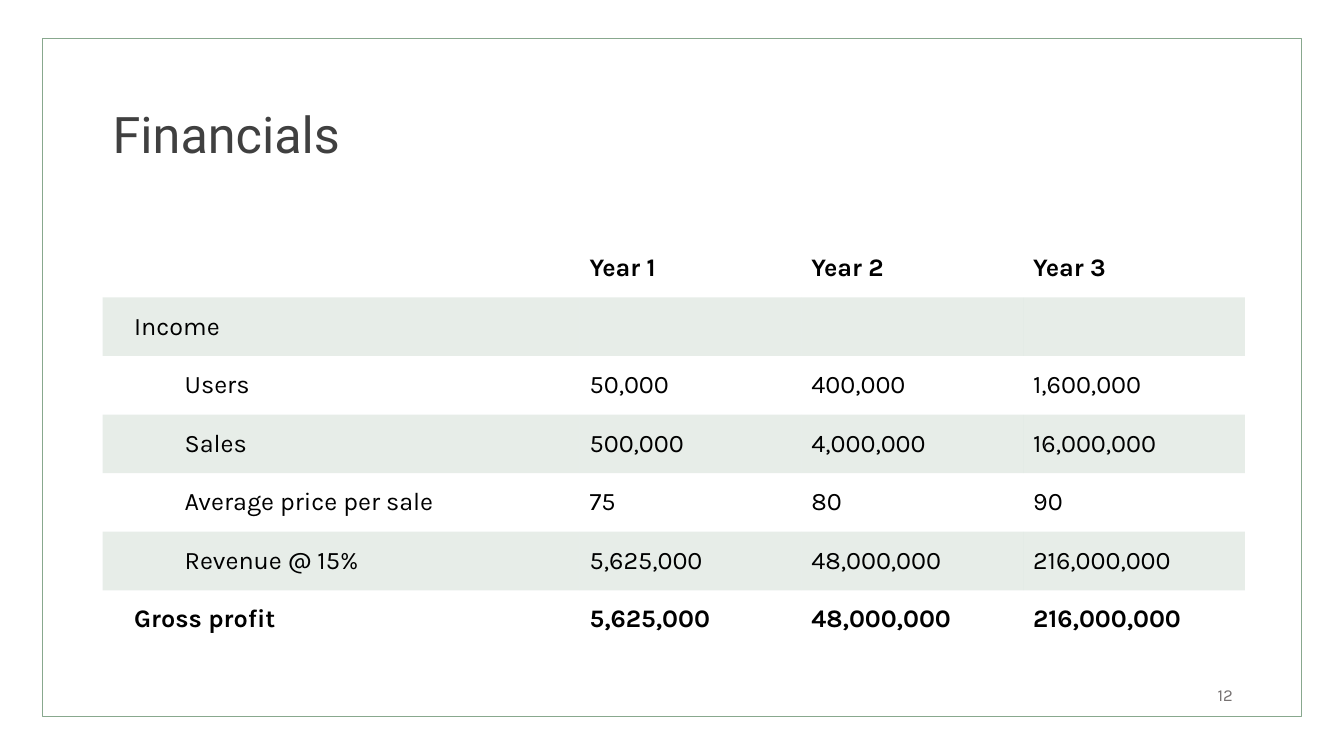
from lxml import etree
from pptx import Presentation
from pptx.dml.color import RGBColor
from pptx.enum.shapes import MSO_SHAPE as Shape
from pptx.enum.text import MSO_ANCHOR as Anchor, PP_ALIGN as Align
from pptx.oxml.ns import qn
from pptx.util import Pt

# Content: label, indent level, bold, values
TITLE = "Financials"
PAGE = "12"
ROWS = [
    ("", 0, True, ("Year 1", "Year 2", "Year 3")),
    ("Income", 0, False, ("", "", "")),
    ("Users", 1, False, ("50,000", "400,000", "1,600,000")),
    ("Sales", 1, False, ("500,000", "4,000,000", "16,000,000")),
    ("Average price per sale", 1, False, ("75", "80", "90")),
    ("Revenue @ 15%", 1, False, ("5,625,000", "48,000,000", "216,000,000")),
    ("Gross profit", 0, True, ("5,625,000", "48,000,000", "216,000,000")),
]
WIDTHS = (340.6, 158.4, 158.4, 158.4)
ROW_H = 41.86
INDENT = 36
GREEN, BLACK, DARK, GRAY = "88A88E", "000000", "404040", "767171"
NO_STYLE = "{2D5ABB26-0587-4C30-8999-92F81FD0307C}"


def color(code):
    return RGBColor.from_string(code)


def style(para, face, size, code, bold=False):
    for run in para.runs:
        font = run.font
        font.name, font.size, font.bold = face, Pt(size), bold
        font.color.rgb = color(code)


def add_text(text, box, face, size, code, align=Align.LEFT):
    frame = slide.shapes.add_textbox(*map(Pt, box)).text_frame
    frame.word_wrap = True
    frame.vertical_anchor = Anchor.MIDDLE
    frame.text = text
    para = frame.paragraphs[0]
    para.alignment = align
    style(para, face, size, code)
    return para


def tint(cell):
    cell.fill.solid()
    cell.fill.fore_color.rgb = color(GREEN)
    tone = cell._tc.tcPr.find(qn("a:solidFill"))[0]
    etree.SubElement(tone, qn("a:alpha")).set("val", "20000")


deck = Presentation()
deck.slide_width, deck.slide_height = Pt(960), Pt(540)
slide = deck.slides.add_slide(deck.slide_layouts[6])

# Frame
frame = slide.shapes.add_shape(Shape.RECTANGLE, Pt(30.2), Pt(27.4), Pt(899.3), Pt(484.6))
frame.shadow.inherit = False
frame.fill.background()
frame.line.color.rgb = color(GREEN)
frame.line.width = Pt(1)

# Title
add_text(TITLE, (73.4, 38.2, 813.6, 120.2), "Roboto", 36, DARK).line_spacing = 0.9

# Table
table = slide.shapes.add_table(
    len(ROWS), len(WIDTHS), Pt(73.4), Pt(170.6),
    Pt(sum(WIDTHS)), Pt(ROW_H * len(ROWS))).table
table.first_row = table.horz_banding = False
table._tbl.tblPr.find(qn("a:tableStyleId")).text = NO_STYLE
for col, width in zip(table.columns, WIDTHS):
    col.width = Pt(width)

for r, (label, level, bold, values) in enumerate(ROWS):
    table.rows[r].height = Pt(ROW_H)
    for c, text in enumerate((label, *values)):
        cell = table.cell(r, c)
        cell.vertical_anchor = Anchor.MIDDLE
        if r % 2:
            tint(cell)
        cell.text_frame.text = text
        para = cell.text_frame.paragraphs[0]
        if c == 0:
            cell.margin_left = Pt(22.5)
            if level:
                para.level = level
                para._p.get_or_add_pPr().set("marL", str(Pt(INDENT * level)))
        style(para, "Karla", 18, BLACK, bold)

# Page number
add_text(PAGE, (671.8, 481.7, 216, 28.8), "Karla", 12, GRAY, Align.RIGHT)

deck.save("out.pptx")
